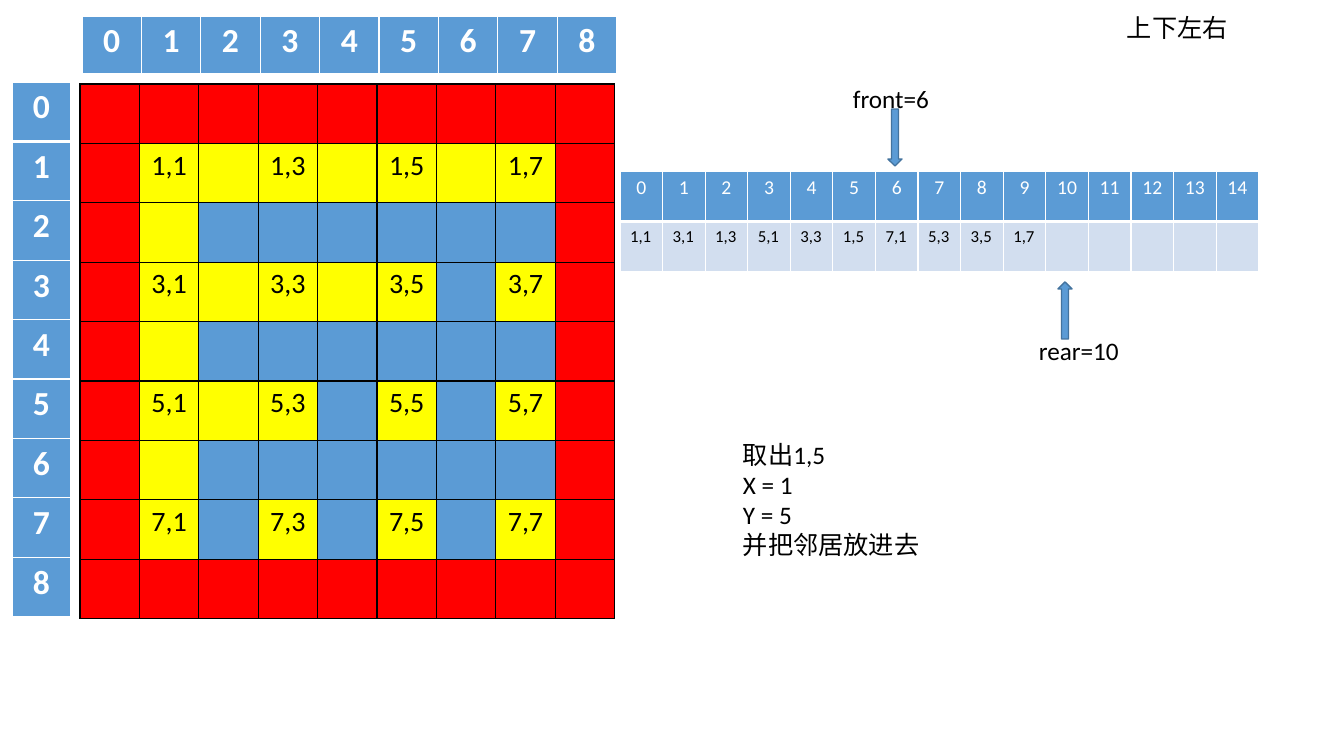
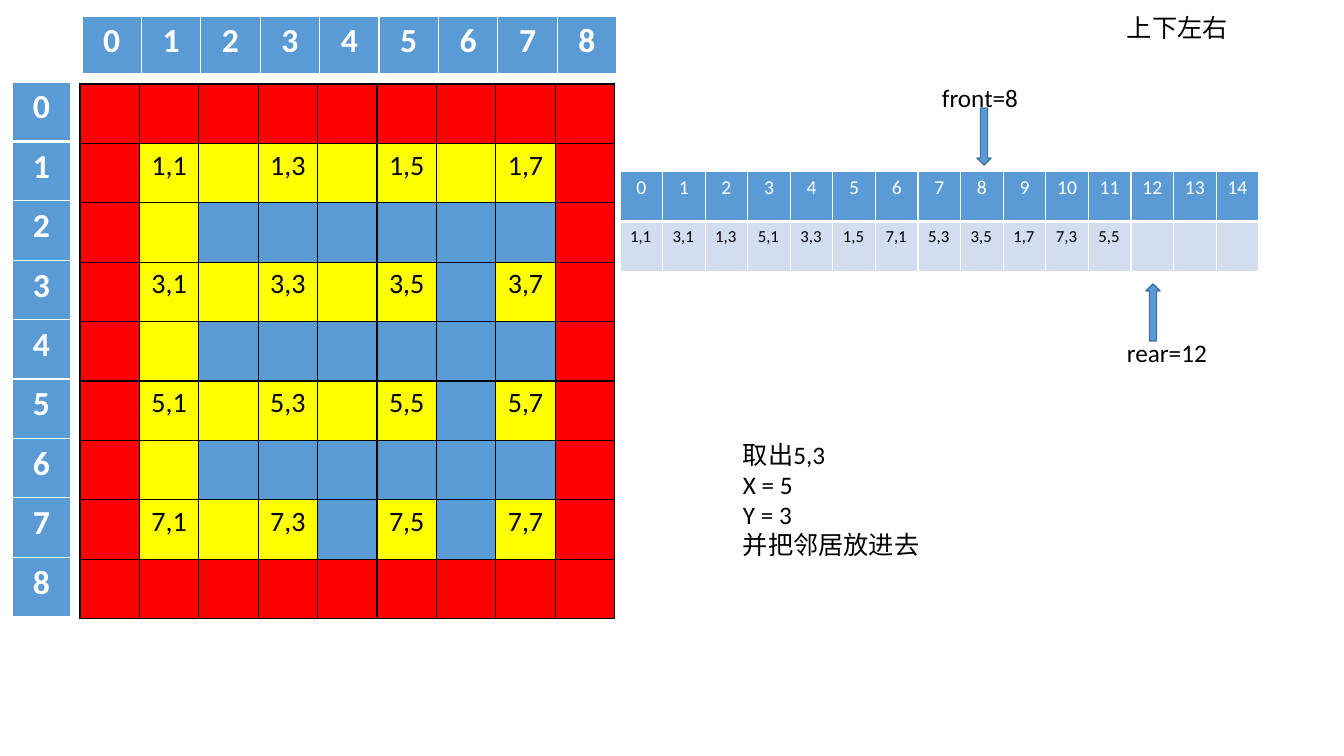
from dataclasses import dataclass
from lxml.etree import SubElement
from pptx import Presentation
from pptx.dml.color import RGBColor
from pptx.enum.shapes import MSO_SHAPE
from pptx.enum.text import MSO_ANCHOR, MSO_AUTO_SIZE, PP_ALIGN
from pptx.oxml.ns import qn
from pptx.util import Emu, Pt

SCALE = 914400 / 100.8


@dataclass(frozen=True)
class Theme:
    font: str = "Calibri"
    blue: str = "5B9BD5"
    edge: str = "43739E"
    pale: str = "D2DEEF"
    wall: str = "FF0000"
    path_fill: str = "FFFF00"
    black: str = "000000"
    white: str = "FFFFFF"
    axis: int = 24
    node: int = 20
    body: int = 18
    index: int = 14
    item: int = 12


THEME = Theme()
SIZE = 9
SLOTS = 15

# Passages that are open between two neighbouring nodes
OPEN = {(1, 2), (1, 4), (1, 6), (2, 1), (3, 2), (3, 4), (4, 1), (5, 2), (6, 1)}
QUEUE = ["1,1", "3,1", "1,3", "5,1", "3,3", "1,5", "7,1", "5,3", "3,5", "1,7"]


@dataclass(frozen=True)
class Step:
    front: int
    rear: int
    x: int
    y: int
    dug: frozenset
    queue: list
    head: tuple
    tail: tuple


STEPS = [
    Step(6, 10, 1, 5, frozenset(), QUEUE, (843, 78), (1029, 330)),
    Step(8, 12, 5, 3, frozenset({(5, 4), (7, 2)}), QUEUE + ["7,3", "5,5"],
         (932, 77), (1117, 332)),
]


def px(num):
    return Emu(round(num * SCALE))


def rgb(code):
    return RGBColor.from_string(code)


def add_run(para, text, size, color, bold=False):
    run = para.add_run()
    run.text = text
    font = run.font
    font.name, font.size, font.bold = THEME.font, Pt(size), bold
    font.color.rgb = rgb(color)


# Tables
def add_grid(slide, box, rows, cols):
    frame = slide.shapes.add_table(rows, cols, *map(px, box))
    table = frame.table
    table.first_row = table.horz_banding = False
    for col in table.columns:
        col.width = px(box[2] / cols)
    for row in table.rows:
        row.height = px(box[3] / rows)
    return table


def set_cell(cell, fill, line, text="", size=THEME.body, color=THEME.black,
             bold=False, align=PP_ALIGN.CENTER, top=1, base=1):
    props = cell._tc.get_or_add_tcPr()
    for side, width in zip("LRTB", (1, 1, top, base)):
        edge = SubElement(props, qn(f"a:ln{side}"), w=str(Pt(width)))
        paint = SubElement(edge, qn("a:solidFill"))
        SubElement(paint, qn("a:srgbClr"), val=line)
    cell.fill.solid()
    cell.fill.fore_color.rgb = rgb(fill)
    cell.vertical_anchor = MSO_ANCHOR.TOP
    if text:
        para = cell.text_frame.paragraphs[0]
        para.alignment = align
        add_run(para, text, size, color, bold)


def add_maze(slide, dug):
    table = add_grid(slide, (80, 84, 535, 535), SIZE, SIZE)
    for row in range(SIZE):
        for col in range(SIZE):
            node = row % 2 and col % 2
            if {row, col} & {0, SIZE - 1}:
                fill = THEME.wall
            elif node or (row, col) in OPEN | dug:
                fill = THEME.path_fill
            else:
                fill = THEME.blue
            text = f"{row},{col}" if node else ""
            set_cell(table.cell(row, col), fill, THEME.black, text, THEME.node)


def add_axes(slide):
    across = add_grid(slide, (82, 16, 535, 59), 1, SIZE)
    down = add_grid(slide, (12, 82, 59, 535), SIZE, 1)
    for num in range(SIZE):
        look = (THEME.blue, THEME.white, str(num), THEME.axis, THEME.white, True)
        set_cell(across.cell(0, num), *look, base=3)
        set_cell(down.cell(num, 0), *look, top=3 if num == 1 else 1,
                 base=3 if num == 0 else 1)


def add_queue(slide, items):
    table = add_grid(slide, (620, 171, 639, 101), 2, SLOTS)
    for num in range(SLOTS):
        set_cell(table.cell(0, num), THEME.blue, THEME.white, str(num),
                 THEME.index, THEME.white, base=3)
        text = items[num] if num < len(items) else ""
        set_cell(table.cell(1, num), THEME.pale, THEME.white, text,
                 THEME.item, align=PP_ALIGN.LEFT, top=3)


# Text and arrows
def add_text(shapes, box, lines):
    frame = shapes.add_textbox(*map(px, box)).text_frame
    frame.word_wrap = False
    frame.auto_size = MSO_AUTO_SIZE.SHAPE_TO_FIT_TEXT
    for num, line in enumerate(lines):
        para = frame.add_paragraph() if num else frame.paragraphs[0]
        add_run(para, line, THEME.body, THEME.black)


def add_mark(slide, text, spot, width, shift, turn=0):
    left, top = spot
    group = slide.shapes.add_group_shape()
    box = (left + shift[0], top + shift[1], 14, 57)
    arrow = group.shapes.add_shape(MSO_SHAPE.UP_ARROW, *map(px, box))
    arrow.rotation = turn
    arrow.shadow.inherit = False
    arrow.fill.solid()
    arrow.fill.fore_color.rgb = rgb(THEME.blue)
    arrow.line.color.rgb = rgb(THEME.edge)
    arrow.line.width = Pt(1)
    add_text(group.shapes, (left, top, width, 40), [text])


def add_step(deck, step):
    slide = deck.slides.add_slide(deck.slide_layouts[6])
    add_maze(slide, step.dug)
    add_axes(slide)
    add_queue(slide, step.queue)
    add_mark(slide, f"front={step.front}", step.head, 98, (45, 31), 180)
    add_mark(slide, f"rear={step.rear}", step.tail, 101, (29, -48))
    add_text(slide.shapes, (733, 434, 199, 132),
             [f"取出{step.x},{step.y}", f"X = {step.x}", f"Y = {step.y}",
              "并把邻居放进去"])
    add_text(slide.shapes, (1117, 7, 122, 40), ["上下左右"])


def main():
    deck = Presentation()
    deck.slide_width, deck.slide_height = px(1344), px(756)
    for step in STEPS:
        add_step(deck, step)
    deck.save("out.pptx")


main()
